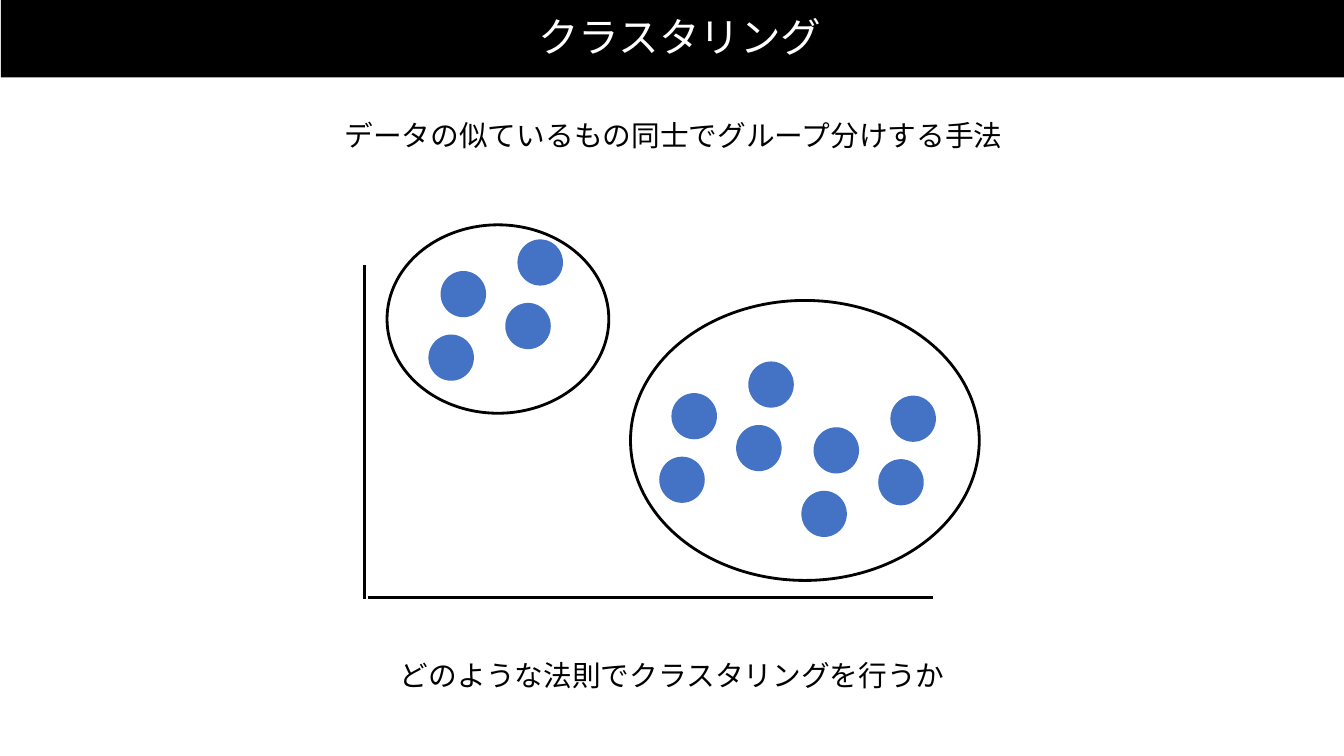
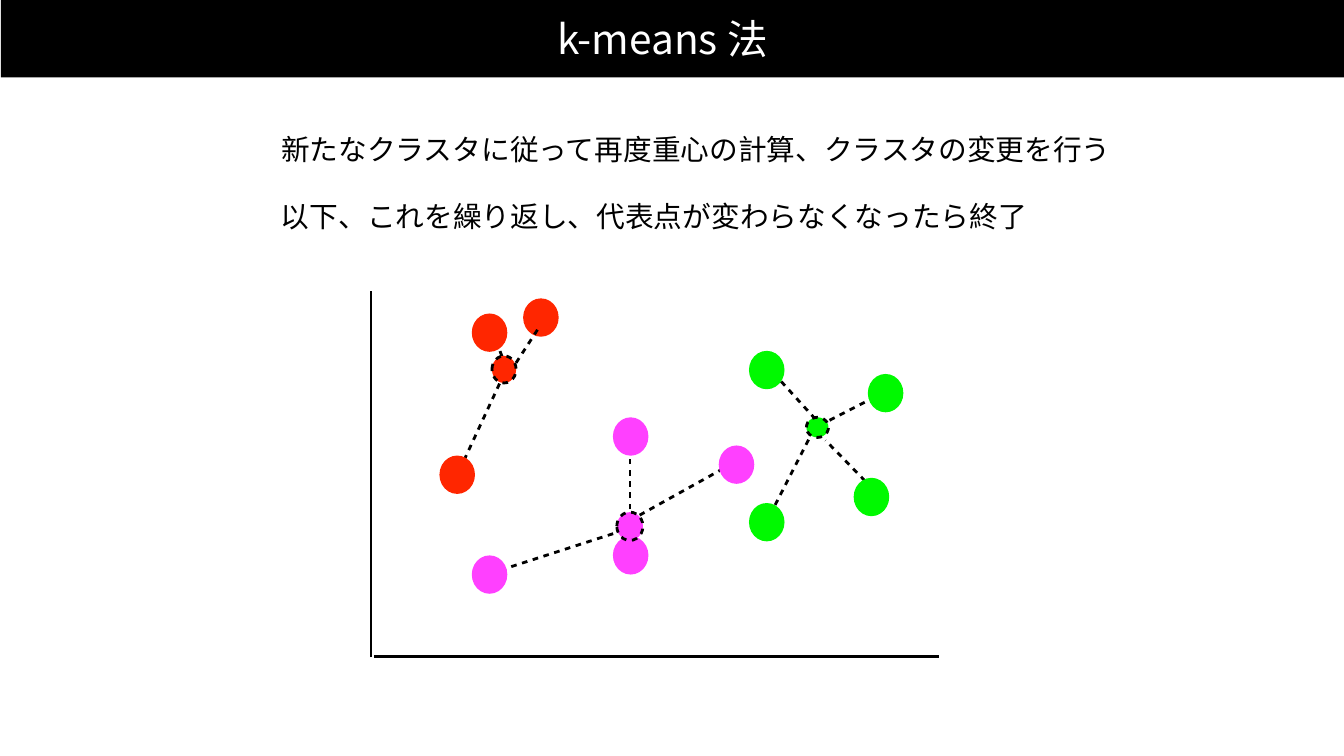
import lxml.etree
import pptx
import pptx.dml.color
import pptx.enum.shapes
import pptx.enum.text
import pptx.oxml.ns
import pptx.util

Pt = pptx.util.Pt
RGBColor = pptx.dml.color.RGBColor
SHAPE = pptx.enum.shapes.MSO_SHAPE
qn = pptx.oxml.ns.qn

BLACK = RGBColor(0x00, 0x00, 0x00)
WHITE = RGBColor(0xFF, 0xFF, 0xFF)
BLUE = RGBColor(0x44, 0x72, 0xC4)
RED = RGBColor(0xFF, 0x26, 0x00)
GREEN = RGBColor(0x00, 0xF9, 0x00)
MAGENTA = RGBColor(0xFF, 0x40, 0xFF)


class SlideWriter:
    font = "Noto Sans CJK JP"
    title_size = 29
    body_size = 20.5
    line_width = 2

    def __init__(self, deck):
        self.deck = deck
        self.slide = None

    def new_slide(self):
        self.slide = self.deck.slides.add_slide(self.deck.slide_layouts[6])

    def shape(self, kind, left, top, width, height, fill=None, outline=None, dashed=False):
        shape = self.slide.shapes.add_shape(kind, Pt(left), Pt(top), Pt(width), Pt(height))
        shape.shadow.inherit = False
        if fill is None:
            shape.fill.background()
        else:
            shape.fill.solid()
            shape.fill.fore_color.rgb = fill
        if outline is None:
            shape.line.fill.background()
        else:
            self.stroke(shape.line, outline, dashed)

    def stroke(self, line, color, dashed):
        line.color.rgb = color
        line.width = Pt(self.line_width)
        if dashed:
            pattern = lxml.etree.SubElement(line.fill._xPr, qn("a:custDash"))
            lxml.etree.SubElement(pattern, qn("a:ds"), d="200000", sp="200000")

    def ellipse(self, left, top, width, height, fill=None, outline=None, dashed=False):
        self.shape(SHAPE.OVAL, left, top, width, height, fill, outline, dashed)

    def dots(self, positions, width, height, color):
        for left, top in positions:
            self.ellipse(left, top, width, height, color)

    def line(self, start, end, dashed=False):
        connector = self.slide.shapes.add_connector(
            pptx.enum.shapes.MSO_CONNECTOR.STRAIGHT, *map(Pt, (*start, *end)))
        self.stroke(connector.line, BLACK, dashed)
        properties = connector._element.spPr
        lxml.etree.SubElement(properties, qn("a:effectLst"))

    def spokes(self, ends):
        for start, end in ends:
            self.line(start, end, dashed=True)

    def axes(self, left, top, bottom):
        self.line((left, bottom), (left, top))
        floor = bottom - 0.7
        self.line((left + 2, floor), (left + 406, floor))

    def text(self, words, left, top, width, height=28.8, size=body_size, color=BLACK):
        box = self.slide.shapes.add_textbox(Pt(left), Pt(top), Pt(width), Pt(height))
        frame = box.text_frame
        frame.word_wrap = False
        frame.auto_size = pptx.enum.text.MSO_AUTO_SIZE.SHAPE_TO_FIT_TEXT
        frame.vertical_anchor = pptx.enum.text.MSO_ANCHOR.MIDDLE
        frame.margin_left = frame.margin_right = Pt(2)
        frame.margin_top = frame.margin_bottom = Pt(2)
        para = frame.paragraphs[0]
        span = para.add_run()
        span.text = words
        span.font.size = Pt(size)
        span.font.name = self.font
        span.font.color.rgb = color
        lxml.etree.SubElement(span.font._element, qn("a:ea"), typeface=self.font)

    def title(self, words, left, top, width):
        self.shape(SHAPE.RECTANGLE, 0.7, 0, 959.3, 55.4, BLACK)
        self.text(words, left, top, width, 38.9, self.title_size, WHITE)


def clustering_slide(writer):
    writer.new_slide()
    writer.title("クラスタリング", 382.3, 6.5, 208.8)
    writer.text("データの似ているもの同士でグループ分けする手法", 244.1, 82.1, 480.2)
    writer.axes(260.6, 189.4, 427.7)
    group_origins = [(306, 239), (470.9, 326.2), (572.4, 350.6)]
    offsets = [(0, 0), (8.7, -45.4), (54.9, -22.6), (63.6, -68)]
    for left, top in group_origins:
        writer.dots([(left + x, top + y) for x, y in offsets], 32.5, 33, BLUE)
    writer.ellipse(450.4, 214.6, 249.1, 200, outline=BLACK)
    writer.ellipse(276.5, 160.6, 158.4, 134.6, outline=BLACK)
    writer.text("どのような法則でクラスタリングを行うか", 283.7, 468, 397.4)


def k_means_slide(writer):
    writer.new_slide()
    writer.spokes([
        ((442.8, 375.8), (517.7, 334.1)),
        ((349.9, 409.7), (450, 377.3)),
        ((324.7, 343.4), (361.4, 264.2)),
        ((361.4, 262.1), (351.4, 235.4)),
        ((450, 396), (450, 317.5)),
        ((553.7, 360.7), (581, 307.4)),
        ((623.5, 349.2), (589.7, 314.6)),
        ((547.2, 260.6), (583.9, 301)),
    ])
    writer.axes(265, 208.1, 469.4)
    clusters = [
        (RED, [(373.7, 213.1), (337, 223.9), (313.9, 325.4)],
         (351.4, 254.2, 17.3, 19.4)),
        (GREEN, [(535, 250.6), (619.9, 267.1), (535, 359.3), (609.8, 341.3)],
         (576, 298.1, 15.8, 14.4)),
        (MAGENTA, [(437.8, 298.1), (437.8, 383), (513.4, 318.2), (337, 396.7)],
         (440.6, 365.8, 18.7, 20.2)),
    ]
    for color, members, centroid in clusters:
        writer.dots(members, 25.4, 27.4, color)
        writer.ellipse(*centroid, fill=color, outline=BLACK, dashed=True)
    writer.spokes([
        ((368.6, 259.2), (384.5, 234.7)),
        ((592.6, 300.2), (620.6, 285.8)),
    ])
    writer.text("新たなクラスタに従って再度重心の計算、クラスタの変更を行う", 198.7, 92.2, 604.1)
    writer.text("以下、これを繰り返し、代表点が変わらなくなったら終了", 198.7, 139.7, 542.2)
    writer.title("k-means 法", 396, 7.9, 164.2)


def main():
    deck = pptx.Presentation()
    deck.slide_width = Pt(960)
    deck.slide_height = Pt(540)
    writer = SlideWriter(deck)
    clustering_slide(writer)
    k_means_slide(writer)
    deck.save("out.pptx")


if __name__ == "__main__":
    main()
